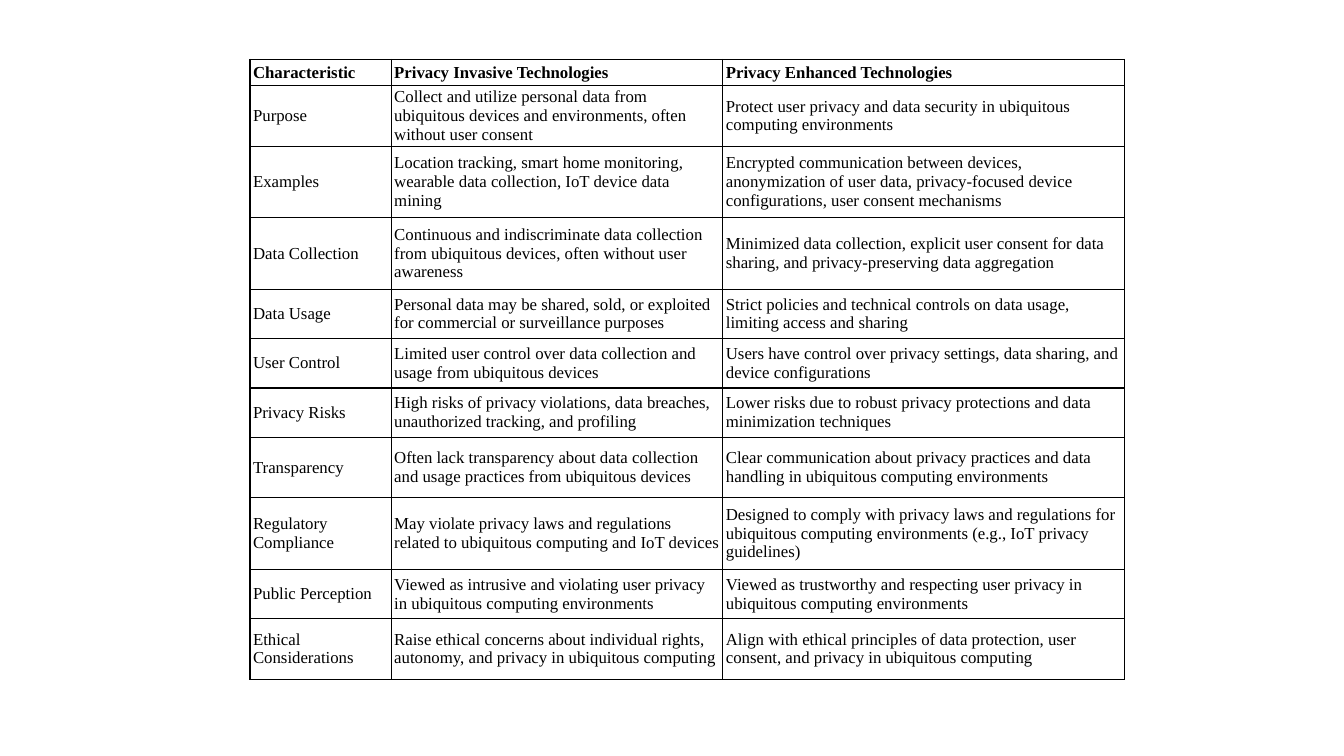
from lxml.etree import SubElement
from pptx import Presentation
from pptx.dml.color import RGBColor
from pptx.enum.text import MSO_ANCHOR
from pptx.oxml.ns import qn
from pptx.util import Inches, Pt

COLORS = {"ink": "000000"}
FONT = "Times New Roman"
LEFT, TOP = 2.48, 0.59
COLUMN_WIDTHS = [1.4, 3.29, 3.98]
HEADER = ("Characteristic", "Privacy Invasive Technologies", "Privacy Enhanced Technologies")

# Row height, characteristic, invasive, enhanced
ROWS = [
    (0.6, "Purpose",
     "Collect and utilize personal data from ubiquitous devices and environments, often without user consent",
     "Protect user privacy and data security in ubiquitous computing environments"),
    (0.71, "Examples",
     "Location tracking, smart home monitoring, wearable data collection, IoT device data mining",
     "Encrypted communication between devices, anonymization of user data, "
     "privacy-focused device configurations, user consent mechanisms"),
    (0.71, "Data Collection",
     "Continuous and indiscriminate data collection from ubiquitous devices, often without user awareness",
     "Minimized data collection, explicit user consent for data sharing, and privacy-preserving data aggregation"),
    (0.49, "Data Usage",
     "Personal data may be shared, sold, or exploited for commercial or surveillance purposes",
     "Strict policies and technical controls on data usage, limiting access and sharing"),
    (0.49, "User Control",
     "Limited user control over data collection and usage from ubiquitous devices",
     "Users have control over privacy settings, data sharing, and device configurations"),
    (0.49, "Privacy Risks",
     "High risks of privacy violations, data breaches, unauthorized tracking, and profiling",
     "Lower risks due to robust privacy protections and data minimization techniques"),
    (0.6, "Transparency",
     "Often lack transparency about data collection and usage practices from ubiquitous devices",
     "Clear communication about privacy practices and data handling in ubiquitous computing environments"),
    (0.71, "Regulatory Compliance",
     "May violate privacy laws and regulations related to ubiquitous computing and IoT devices",
     "Designed to comply with privacy laws and regulations for ubiquitous computing environments "
     "(e.g., IoT privacy guidelines)"),
    (0.49, "Public Perception",
     "Viewed as intrusive and violating user privacy in ubiquitous computing environments",
     "Viewed as trustworthy and respecting user privacy in ubiquitous computing environments"),
    (0.6, "Ethical Considerations",
     "Raise ethical concerns about individual rights, autonomy, and privacy in ubiquitous computing",
     "Align with ethical principles of data protection, user consent, and privacy in ubiquitous computing"),
]


def write_text(cell, text, size=12, bold=False, color="ink"):
    paragraph = cell.text_frame.paragraphs[0]
    run = paragraph.add_run()
    run.text = text
    run.font.name = FONT
    run.font.size = Pt(size)
    run.font.bold = bold
    run.font.color.rgb = RGBColor.from_string(COLORS[color])


def add_borders(cell, width=1, color="ink"):
    properties = cell._tc.get_or_add_tcPr()
    for side in ("a:lnL", "a:lnR", "a:lnT", "a:lnB"):
        line = SubElement(properties, qn(side), w=str(Pt(width)))
        fill = SubElement(line, qn("a:solidFill"))
        SubElement(fill, qn("a:srgbClr"), val=COLORS[color])


def format_cell(cell):
    cell.margin_left = cell.margin_right = Inches(0.03)
    cell.margin_top = cell.margin_bottom = Inches(0.01)
    cell.vertical_anchor = MSO_ANCHOR.MIDDLE
    add_borders(cell)
    cell.fill.background()


def add_comparison_table(slide):
    rows = [(0.26, *HEADER), *ROWS]
    frame = slide.shapes.add_table(
        len(rows), len(HEADER), Inches(LEFT), Inches(TOP),
        Inches(sum(COLUMN_WIDTHS)), Inches(sum(row[0] for row in rows)))
    table = frame.table
    table.horz_banding = False
    for column, width in zip(table.columns, COLUMN_WIDTHS):
        column.width = Inches(width)
    for row_index, (height, *texts) in enumerate(rows):
        table.rows[row_index].height = Inches(height)
        for column_index, text in enumerate(texts):
            cell = table.cell(row_index, column_index)
            format_cell(cell)
            write_text(cell, text, bold=row_index == 0)


def main():
    presentation = Presentation()
    presentation.slide_width = Inches(13.33)
    presentation.slide_height = Inches(7.5)
    slide = presentation.slides.add_slide(presentation.slide_layouts[6])
    add_comparison_table(slide)
    presentation.save("out.pptx")


if __name__ == "__main__":
    main()
